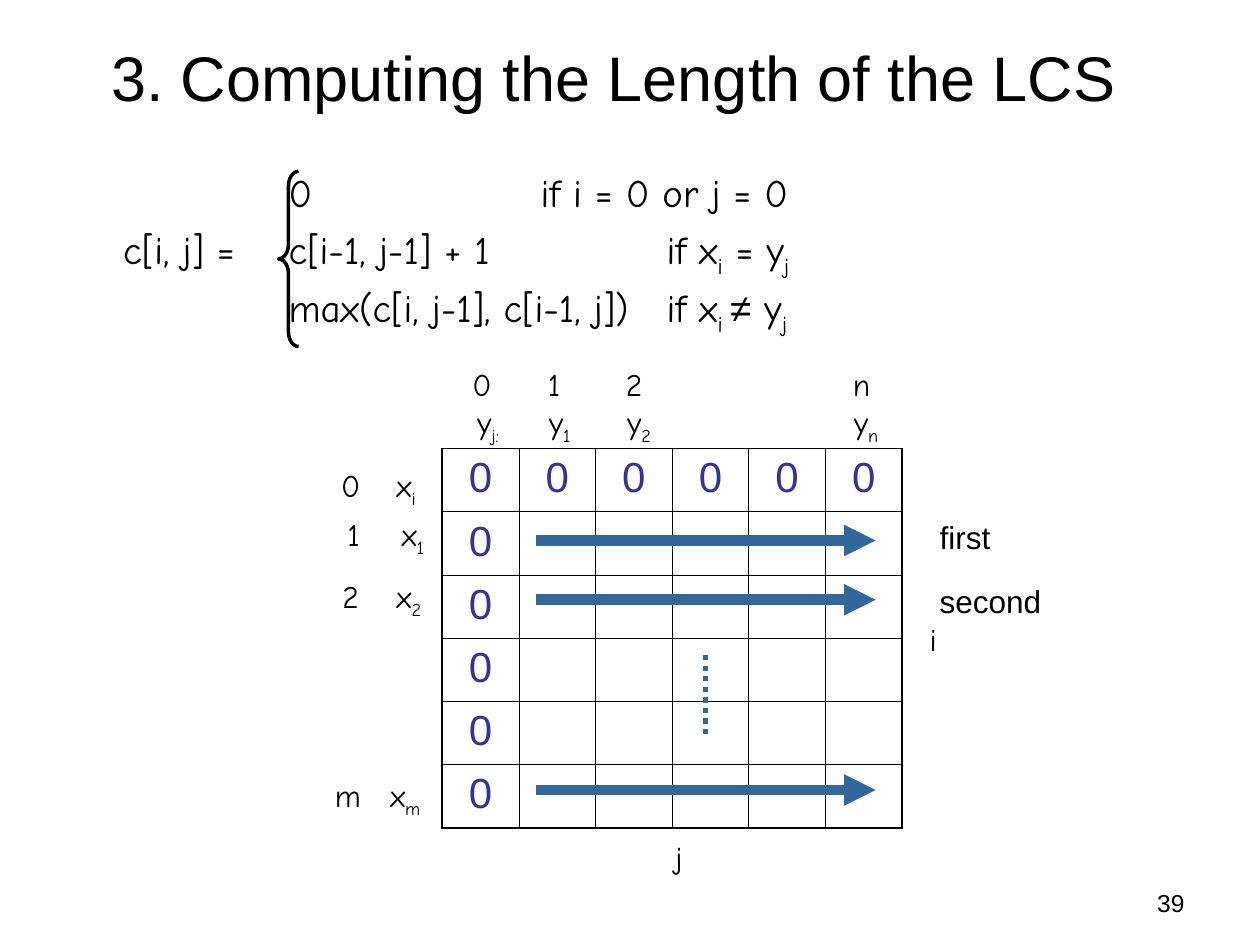
from lxml.etree import SubElement
from pptx import Presentation
from pptx.dml.color import RGBColor
from pptx.enum.dml import MSO_LINE
from pptx.enum.shapes import MSO_CONNECTOR, MSO_SHAPE
from pptx.enum.text import MSO_ANCHOR, MSO_AUTO_SIZE, PP_ALIGN
from pptx.oxml.ns import qn
from pptx.util import Inches, Pt

BLACK = RGBColor(0, 0, 0)
INDIGO = RGBColor(0x33, 0x33, 0x99)
STEEL = RGBColor(0x33, 0x66, 0x99)
SANS, HAND = "Arial", "Comic Neue"

TITLE = "3. Computing the Length of the LCS"
PAGE_NUMBER = "39"
FORMULA = [
    [("\t\t\t0\t\t\t\tif i = 0 or j = 0", "")],
    [("c[i, j] = \tc[i-1, j-1] + 1\t\t\tif x", ""), ("i", "sub"), (" = y", ""), ("j", "sub")],
    [("\t\t\tmax(c[i, j-1], c[i-1, j])\tif x", ""), ("i ", "sub"), ("≠", "symbol"),
     (" y", ""), ("j", "sub")],
]
COLUMN_LABELS = [("0", 3.65, "j:", 3.69), ("1", 4.25, "1", 4.26),
                 ("2", 4.87, "2", 4.88), ("n", 6.67, "n", 6.68)]
ROW_LABELS = [("0", 2.61, "i", 3.05, 3.65), ("1", 2.66, "1", 3.09, 4.04),
              ("2", 2.62, "2", 3.05, 4.53), ("m", 2.56, "m", 3.0, 6.11)]
LABEL_WIDTHS = {"0": 0.35, "1": 0.3, "2": 0.33, "n": 0.34, "m": 0.4}
SUBSCRIPT_WIDTHS = {"j:": 0.37, "1": 0.39, "2": 0.41, "n": 0.39, "m": 0.44, "i": 0.35}
AXIS_LABELS = [("j", 5.26, 6.6, 0.26), ("i", 7.28, 4.87, 0.25)]
PASS_LABELS = [("first", 7.36, 4.06, 0.6), ("second", 7.36, 4.57, 1.03)]
PASS_ARROWS = [4.29, 4.76, 6.27]
GRID_SIZE = 6
GRID_LEFT, GRID_TOP, GRID_WIDTH, GRID_HEIGHT = 3.51, 3.56, 3.65, 3.01


def style(span, size, font=HAND, color=BLACK, subscript=False):
    span.font.size = Pt(size)
    span.font.name = font
    span.font.color.rgb = color
    if subscript:
        span.font._element.set("baseline", "-25000")


def add_spans(para, spans, size, font=HAND):
    for text, role in spans:
        span = para.add_run()
        span.text = text
        style(span, size, SANS if role == "symbol" else font, subscript=role == "sub")


def add_text(page, spans, left, top, width, height, size=18, font=HAND, wrap=False):
    box = page.shapes.add_textbox(Inches(left), Inches(top), Inches(width), Inches(height))
    frame = box.text_frame
    frame.word_wrap = wrap
    frame.auto_size = MSO_AUTO_SIZE.NONE if wrap else MSO_AUTO_SIZE.SHAPE_TO_FIT_TEXT
    add_spans(frame.paragraphs[0], spans, size, font)
    return frame


def add_formula(page):
    box = page.shapes.add_textbox(Inches(0.38), Inches(1.33), Inches(9), Inches(1.69))
    frame = box.text_frame
    frame.word_wrap = True
    for index, spans in enumerate(FORMULA):
        para = frame.add_paragraph() if index else frame.paragraphs[0]
        para.line_spacing = 0.9
        para.space_before = Pt(6)
        properties = para._p.get_or_add_pPr()
        properties.set("marL", str(Pt(58.5)))
        properties.set("indent", str(Pt(-22.5)))
        stops = SubElement(properties, qn("a:tabLst"))
        for inch in range(8):
            SubElement(stops, qn("a:tab"), pos=str(Inches(inch)), algn="l")
        add_spans(para, spans, 22.2)
    brace = page.shapes.add_shape(MSO_SHAPE.LEFT_BRACE, Inches(2.21), Inches(1.36),
                                  Inches(0.16), Inches(1.39))
    brace.adjustments[0] = 0.72
    brace.shadow.inherit = False
    brace.fill.background()
    brace.line.color.rgb = BLACK
    brace.line.width = Pt(2)


def set_borders(cell, row, column):
    last = GRID_SIZE - 1
    outer = [("a:lnL", column == 0), ("a:lnR", column == last),
             ("a:lnT", row == 0), ("a:lnB", row == last)]
    properties = cell._tc.get_or_add_tcPr()
    for position, (tag, on_edge) in enumerate(outer):
        border = SubElement(properties, qn(tag), w=str(Pt(1.08 if on_edge else 0.45)))
        fill = SubElement(border, qn("a:solidFill"))
        SubElement(fill, qn("a:srgbClr"), val=str(BLACK))
        properties.insert(position, border)


def add_grid(page):
    table = page.shapes.add_table(GRID_SIZE, GRID_SIZE, Inches(GRID_LEFT), Inches(GRID_TOP),
                                  Inches(GRID_WIDTH), Inches(GRID_HEIGHT)).table
    table.first_row = False
    table.horz_banding = False
    for row in range(GRID_SIZE):
        for column in range(GRID_SIZE):
            cell = table.cell(row, column)
            cell.fill.background()
            set_borders(cell, row, column)
            if row == 0 or column == 0:
                para = cell.text_frame.paragraphs[0]
                para.text = "0"
                para.alignment = PP_ALIGN.CENTER
                para.space_before = Pt(6)
                style(para.runs[0], 24, SANS, INDIGO)


def add_labels(page):
    for index, left, subscript, name_left in COLUMN_LABELS:
        add_text(page, [(index, "")], left, 2.85, LABEL_WIDTHS[index], 0.4)
        add_text(page, [("y", ""), (subscript, "sub")], name_left, 3.15,
                 SUBSCRIPT_WIDTHS[subscript], 0.44)
    for index, left, subscript, name_left, top in ROW_LABELS:
        add_text(page, [(index, "")], left, top, LABEL_WIDTHS[index], 0.4)
        add_text(page, [("x", ""), (subscript, "sub")], name_left, top,
                 SUBSCRIPT_WIDTHS[subscript], 0.44)
    for labels, font in ((AXIS_LABELS, HAND), (PASS_LABELS, SANS)):
        for text, left, top, width in labels:
            add_text(page, [(text, "")], left, top, width, 0.4, font=font)


def add_line(page, start, end, width):
    connector = page.shapes.add_connector(MSO_CONNECTOR.STRAIGHT, *map(Inches, start + end))
    connector.line.color.rgb = STEEL
    connector.line.width = Pt(width)
    SubElement(connector._element.spPr, qn("a:effectLst"))
    return connector.line


def add_passes(page):
    for top in PASS_ARROWS:
        line = add_line(page, (4.25, top), (6.95, top), 6)
        SubElement(line._get_or_add_ln(), qn("a:tailEnd"), type="triangle")
    dots = add_line(page, (5.6, 5.2), (5.6, 5.86), 3)
    dots.dash_style = MSO_LINE.ROUND_DOT
    dots._get_or_add_ln().find(qn("a:prstDash")).set("val", "sysDot")


def main():
    deck = Presentation()
    deck.slide_width, deck.slide_height = Inches(10), Inches(7.5)
    page = deck.slides.add_slide(deck.slide_layouts[6])
    title = add_text(page, [(TITLE, "")], 0.37, 0.11, 9, 0.99, 36, SANS, True)
    title.vertical_anchor = MSO_ANCHOR.MIDDLE
    title.paragraphs[0].alignment = PP_ALIGN.CENTER
    number = add_text(page, [(PAGE_NUMBER, "")], 7.17, 7, 2.33, 0.35, 14, SANS, True)
    number.paragraphs[0].alignment = PP_ALIGN.RIGHT
    add_formula(page)
    add_grid(page)
    add_labels(page)
    add_passes(page)
    deck.save("out.pptx")


if __name__ == "__main__":
    main()
